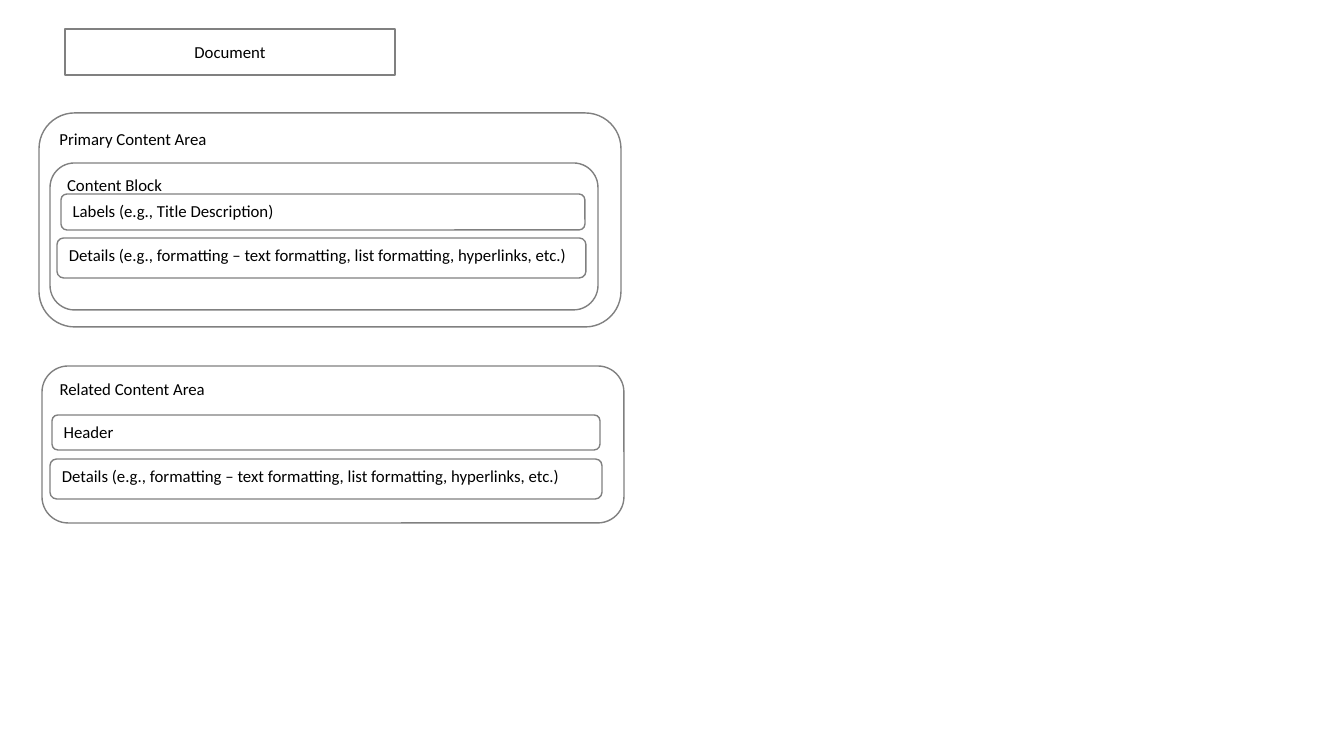
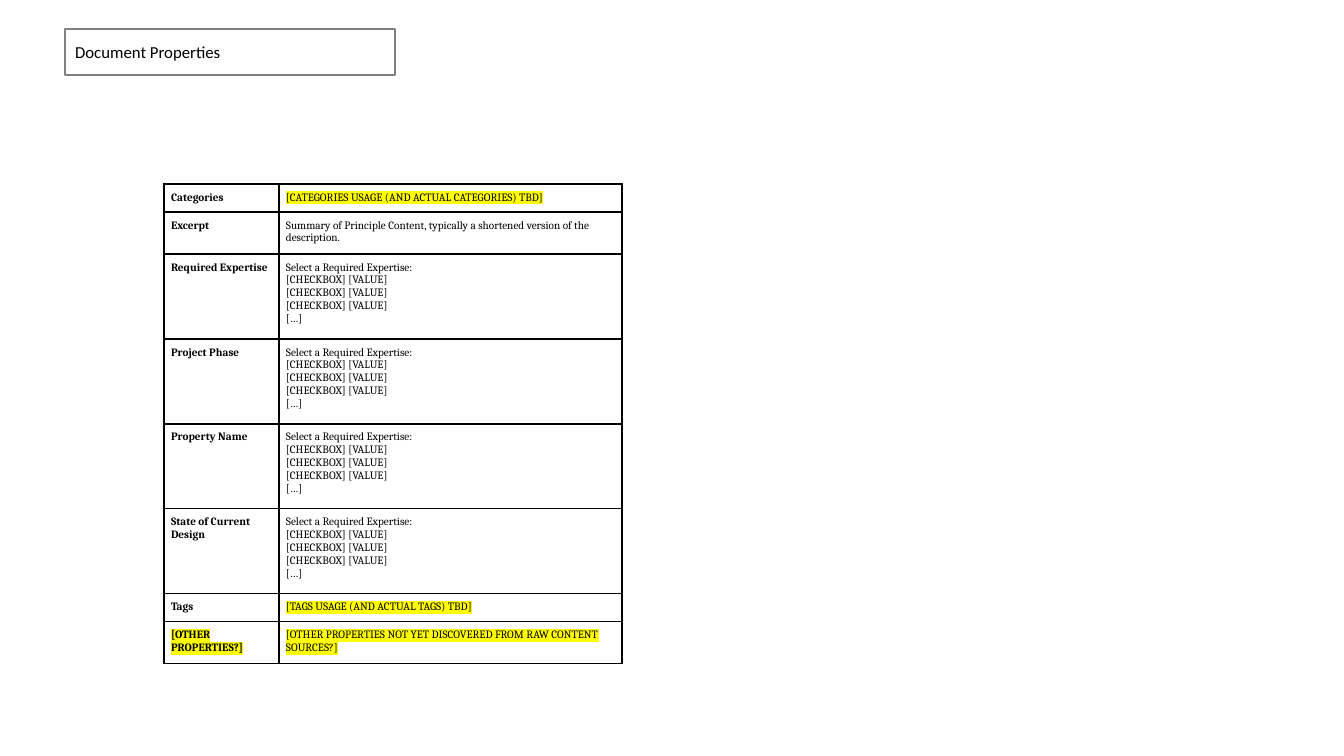
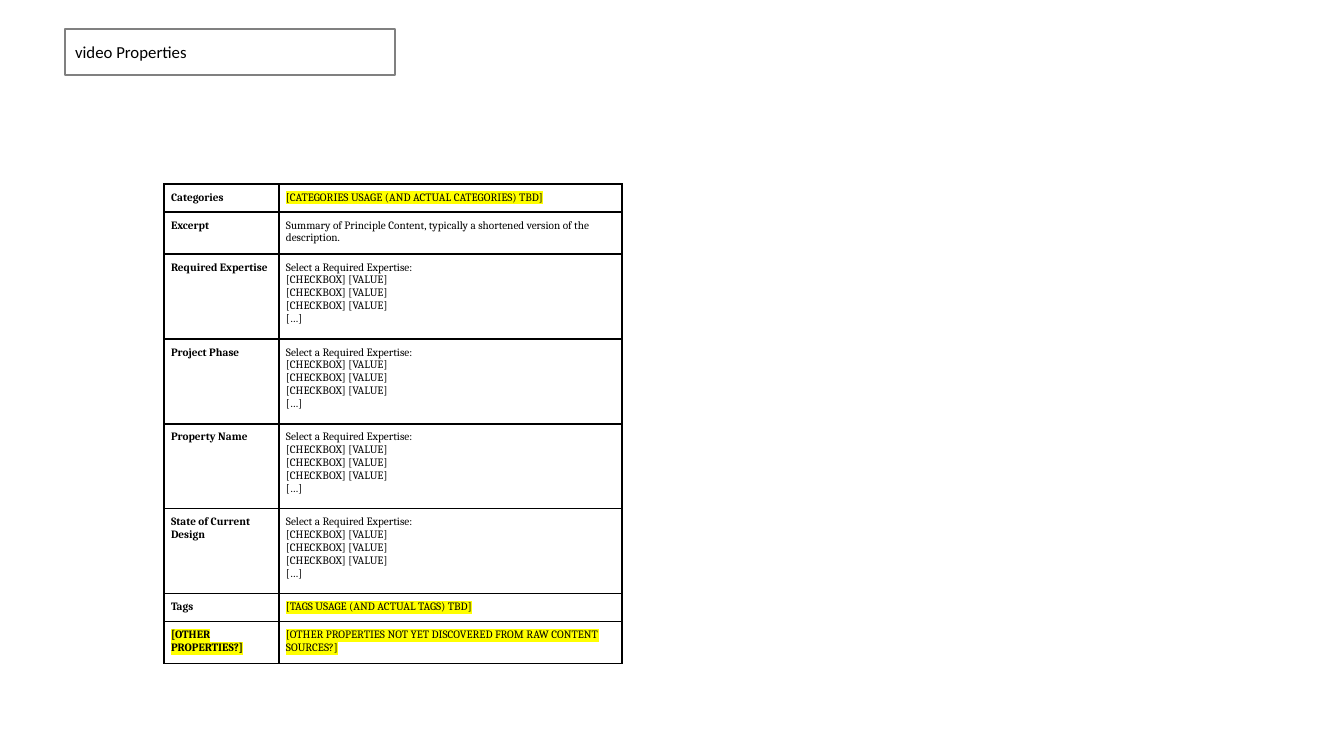
from lxml.etree import SubElement
from pptx import Presentation
from pptx.dml.color import RGBColor
from pptx.enum.shapes import MSO_SHAPE
from pptx.enum.text import MSO_ANCHOR, PP_ALIGN
from pptx.oxml.ns import qn
from pptx.util import Emu, Pt

SLIDE_WIDTH, SLIDE_HEIGHT = 1344, 756
SCALE = 12192000 / SLIDE_WIDTH
TITLE_ONLY = 5

BLACK, GRAY, YELLOW = "000000", "808080", "FFFF00"
TITLE_BOX = (65, 29, 330, 46)
DETAILS = "Details (e.g., formatting – text formatting, list formatting, hyperlinks, etc.)"

COLUMN_WIDTHS = (115, 343)
CELL_MARGIN = 7
CHECKBOXES = ("Select a Required Expertise:", *["[CHECKBOX] [VALUE]"] * 3, "[…]")
# Each row: height, property name, lines of its value, name marked, value marked
PROPERTIES = (
    (28, "Categories", ("[CATEGORIES USAGE (AND ACTUAL CATEGORIES) TBD]",), False, True),
    (42, "Excerpt",
     ("Summary of Principle Content, typically a shortened version of the description.",),
     False, False),
    (85, "Required Expertise", CHECKBOXES, False, False),
    (85, "Project Phase", CHECKBOXES, False, False),
    (85, "Property Name", CHECKBOXES, False, False),
    (85, "State of Current Design", CHECKBOXES, False, False),
    (28, "Tags", ("[TAGS USAGE (AND ACTUAL TAGS) TBD]",), False, True),
    (42, "[OTHER PROPERTIES?]",
     ("[OTHER PROPERTIES NOT YET DISCOVERED FROM RAW CONTENT SOURCES?]",), True, True),
)


def px(length):
    """Turn pixels into EMU."""
    return Emu(round(length * SCALE))


def color(value):
    """Turn a hex string into a colour."""
    return RGBColor.from_string(value)


def style_text(para, size, font, bold=False, align=PP_ALIGN.LEFT):
    """Format a whole paragraph in black."""
    para.alignment = align
    para.font.size = Pt(size)
    para.font.name = font
    para.font.bold = bold
    para.font.color.rgb = color(BLACK)


def outline(shape):
    """Leave a shape unfilled with a thin gray line."""
    shape.fill.background()
    shape.line.color.rgb = color(GRAY)
    shape.line.width = Pt(1)


def add_page(deck, title, align=PP_ALIGN.LEFT):
    """Add a slide with its title in the framed box."""
    page = deck.slides.add_slide(deck.slide_layouts[TITLE_ONLY])
    box = page.shapes.title
    box.left, box.top, box.width, box.height = map(px, TITLE_BOX)
    outline(box)
    box.text_frame.text = title
    box.text_frame.vertical_anchor = MSO_ANCHOR.MIDDLE
    style_text(box.text_frame.paragraphs[0], 12, "Calibri", align=align)
    return page


def add_area(page, box, label):
    """Add a rounded area labelled at its top left."""
    area = page.shapes.add_shape(MSO_SHAPE.FLOWCHART_ALTERNATE_PROCESS, *map(px, box))
    area.shadow.inherit = False
    outline(area)
    frame = area.text_frame
    frame.word_wrap = True
    frame.vertical_anchor = MSO_ANCHOR.TOP
    frame.text = label
    style_text(frame.paragraphs[0], 12, "Calibri")


def add_nested_areas(page, box, label, parts):
    """Add an area and its parts, each offset from the area's corner."""
    add_area(page, box, label)
    left, top = box[:2]
    for (across, down, width, height), text in parts:
        add_area(page, (left + across, top + down, width, height), text)


def add_borders(cell):
    """Draw a thin black line on all four sides of a cell."""
    properties = cell._tc.get_or_add_tcPr()
    for side in ("lnL", "lnR", "lnT", "lnB"):
        line = SubElement(properties, qn(f"a:{side}"), w=str(Pt(1)))
        fill = SubElement(line, qn("a:solidFill"))
        SubElement(fill, qn("a:srgbClr"), val=BLACK)


def highlight(span):
    """Mark a run in yellow."""
    mark = SubElement(span._r.get_or_add_rPr(), qn("a:highlight"))
    SubElement(mark, qn("a:srgbClr"), val=YELLOW)


def fill_cell(cell, lines, bold, marked):
    """Write one paragraph per line into a bordered cell."""
    cell.margin_left = cell.margin_right = px(CELL_MARGIN)
    cell.margin_top = cell.margin_bottom = px(CELL_MARGIN)
    add_borders(cell)
    cell.fill.background()
    cell.text_frame.text = "\n".join(lines)
    for para in cell.text_frame.paragraphs:
        style_text(para, 8, "Cambria", bold)
        if marked:
            for span in para.runs:
                highlight(span)


def add_property_table(page, left, top):
    """Add the table of property names and values."""
    height = sum(row[0] for row in PROPERTIES)
    frame = page.shapes.add_table(len(PROPERTIES), len(COLUMN_WIDTHS), px(left), px(top),
                                  px(sum(COLUMN_WIDTHS)), px(height))
    table = frame.table
    table.first_row = table.horz_banding = False
    for column, width in zip(table.columns, COLUMN_WIDTHS):
        column.width = px(width)
    for row, (height, name, lines, name_marked, value_marked) in zip(table.rows, PROPERTIES):
        row.height = px(height)
        fill_cell(row.cells[0], [name], True, name_marked)
        fill_cell(row.cells[1], lines, False, value_marked)


def add_document_page(deck):
    """Add the slide that maps the areas of a document."""
    page = add_page(deck, "Document", PP_ALIGN.CENTER)
    add_nested_areas(page, (39, 113, 582, 214), "Primary Content Area", (
        ((11, 50, 548, 147), "Content Block"),
        ((22, 81, 524, 36), "Labels (e.g., Title Description)"),
        ((18, 125, 529, 40), DETAILS),
    ))
    add_nested_areas(page, (42, 366, 582, 157), "Related Content Area", (
        ((10, 49, 548, 35), "Header"),
        ((8, 93, 552, 40), DETAILS),
    ))


def add_properties_page(deck, title):
    """Add a slide with a property table."""
    add_property_table(add_page(deck, title), 164, 184)


def main():
    """Build and save the deck."""
    deck = Presentation()
    deck.slide_width, deck.slide_height = px(SLIDE_WIDTH), px(SLIDE_HEIGHT)
    add_document_page(deck)
    for title in ("Document Properties", "video Properties"):
        add_properties_page(deck, title)
    deck.save("out.pptx")


main()
